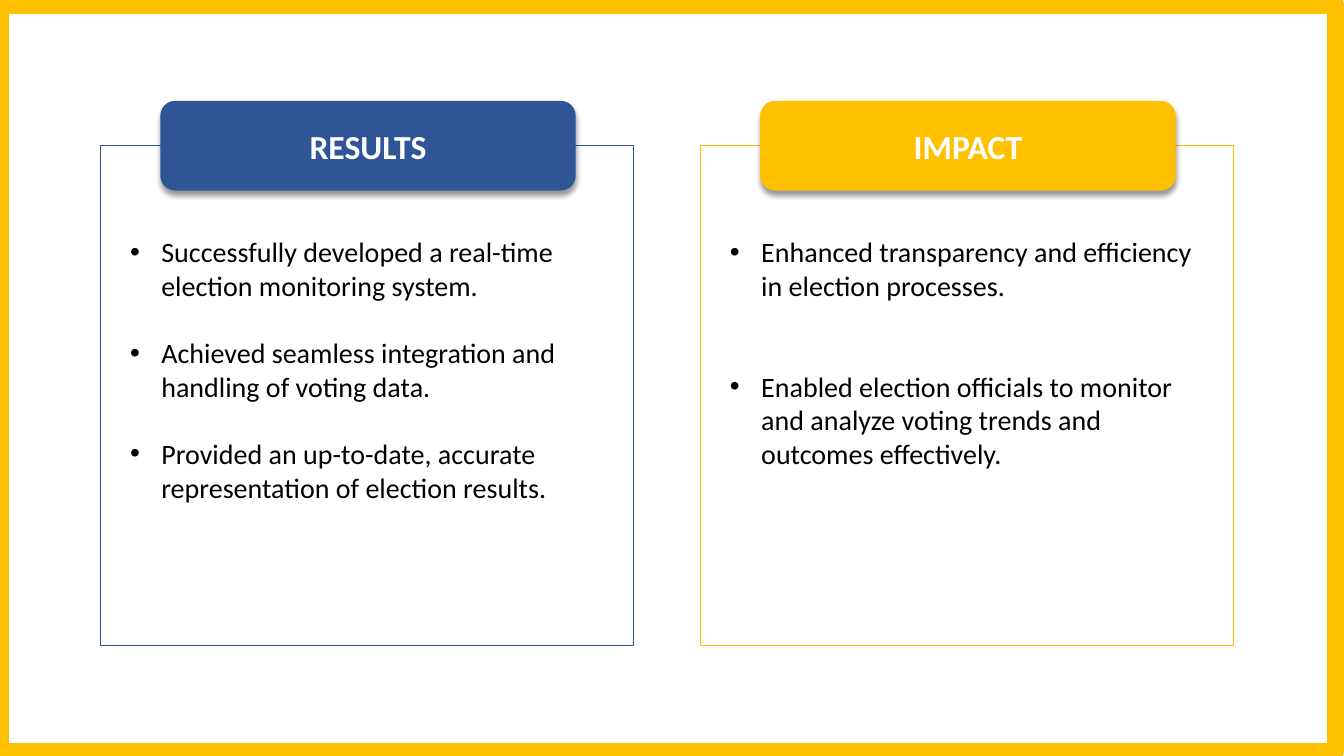
"""Build the results and impact slide."""
from dataclasses import dataclass
from typing import Optional

from lxml.etree import SubElement
from pptx import Presentation
from pptx.dml.color import RGBColor
from pptx.enum.shapes import MSO_SHAPE
from pptx.enum.text import MSO_ANCHOR, MSO_AUTO_SIZE, PP_ALIGN
from pptx.oxml.ns import qn
from pptx.shapes.autoshape import Shape
from pptx.slide import Slide
from pptx.text.text import _Paragraph as Paragraph
from pptx.util import Inches, Length, Pt


@dataclass(frozen=True)
class Theme:
    font: str = "Calibri"
    blue: str = "2F5597"
    gold: str = "FFC000"
    white: str = "FFFFFF"
    black: str = "000000"
    heading_size: float = 24
    body_size: float = 20
    frame_width: float = 12.25
    panel_line_width: float = 0.5


@dataclass(frozen=True)
class Box:
    column: float
    row: float
    columns: float
    rows: float

    def moved(self, columns: float) -> "Box":
        return Box(self.column + columns, self.row, self.columns, self.rows)

    def lengths(self) -> tuple[Length, ...]:
        return tuple(
            Inches(cells * CELL)
            for cells in (self.column, self.row, self.columns, self.rows)
        )


@dataclass(frozen=True)
class Panel:
    heading: str
    color: str
    bullets: tuple[str, ...]
    bullet_gap: float
    body_rows: float


THEME = Theme()
CELL = 0.1
PANEL_PITCH = 59.5
FRAME = Box(0, 0.5, 132.5, 74.1)
OUTLINE = Box(10, 14.4, 52.8, 49.6)
HEADING = Box(15.9, 10, 41.2, 8.9)
BODY = Box(12.9, 23.3, 46.9, 30.6)
BULLET_INDENT = Inches(3.1 * CELL)

PANELS = (
    Panel(
        "RESULTS",
        THEME.blue,
        (
            "Successfully developed a real-time election monitoring system.",
            "Achieved seamless integration and handling of voting data.",
            "Provided an up-to-date, accurate representation of election results.",
        ),
        bullet_gap=24,
        body_rows=30.6,
    ),
    Panel(
        "IMPACT",
        THEME.gold,
        (
            "Enhanced transparency and efficiency in election processes.",
            "Enabled election officials to monitor and analyze voting trends and outcomes effectively.",
        ),
        bullet_gap=48,
        body_rows=27.3,
    ),
)


def write_text(
    paragraph: Paragraph, text: str, *, size: float, color: str, bold: bool = False
) -> None:
    run = paragraph.add_run()
    run.text = text
    run.font.name = THEME.font
    run.font.size = Pt(size)
    run.font.bold = bold
    run.font.color.rgb = RGBColor.from_string(color)


def draw_shape(
    slide: Slide,
    kind: MSO_SHAPE,
    box: Box,
    *,
    fill: Optional[str] = None,
    line: Optional[str] = None,
    line_width: float = 0,
) -> Shape:
    shape = slide.shapes.add_shape(kind, *box.lengths())
    shape.shadow.inherit = False
    if fill:
        shape.fill.solid()
        shape.fill.fore_color.rgb = RGBColor.from_string(fill)
    else:
        shape.fill.background()
    if line:
        shape.line.color.rgb = RGBColor.from_string(line)
        shape.line.width = Pt(line_width)
    else:
        shape.line.fill.background()
    return shape


def add_shadow(shape: Shape) -> None:
    effects = shape.element.spPr.find(qn("a:effectLst"))
    shadow = SubElement(
        effects,
        qn("a:outerShdw"),
        blurRad=str(Pt(4)),
        dist=str(Pt(3)),
        dir=str(90 * 60000),
        algn="ctr",
        rotWithShape="0",
    )
    color = SubElement(shadow, qn("a:srgbClr"), val=THEME.black)
    SubElement(color, qn("a:alpha"), val="40000")


def add_bullet(paragraph: Paragraph) -> None:
    properties = paragraph._p.get_or_add_pPr()
    properties.set("marL", str(BULLET_INDENT))
    properties.set("indent", str(-BULLET_INDENT))
    SubElement(properties, qn("a:buFont"), typeface="Arial")
    SubElement(properties, qn("a:buChar"), char="•")


def draw_heading(slide: Slide, panel: Panel, box: Box) -> None:
    shape = draw_shape(slide, MSO_SHAPE.ROUNDED_RECTANGLE, box, fill=panel.color)
    add_shadow(shape)
    shape.text_frame.vertical_anchor = MSO_ANCHOR.MIDDLE
    paragraph = shape.text_frame.paragraphs[0]
    paragraph.alignment = PP_ALIGN.CENTER
    write_text(
        paragraph, panel.heading, size=THEME.heading_size, color=THEME.white, bold=True
    )


def draw_body(slide: Slide, panel: Panel, box: Box) -> None:
    frame = slide.shapes.add_textbox(*box.lengths()).text_frame
    frame.word_wrap = True
    frame.auto_size = MSO_AUTO_SIZE.SHAPE_TO_FIT_TEXT
    frame.margin_left = frame.margin_right = 0
    frame.margin_top = frame.margin_bottom = 0
    for index, bullet in enumerate(panel.bullets):
        paragraph = frame.add_paragraph() if index else frame.paragraphs[0]
        if index:
            paragraph.space_before = Pt(panel.bullet_gap)
        add_bullet(paragraph)
        write_text(paragraph, bullet, size=THEME.body_size, color=THEME.black)


def draw_panel(slide: Slide, panel: Panel, offset: float) -> None:
    draw_shape(
        slide,
        MSO_SHAPE.RECTANGLE,
        OUTLINE.moved(offset),
        line=panel.color,
        line_width=THEME.panel_line_width,
    )
    draw_heading(slide, panel, HEADING.moved(offset))
    body = Box(BODY.column + offset, BODY.row, BODY.columns, panel.body_rows)
    draw_body(slide, panel, body)


def main() -> None:
    presentation = Presentation()
    presentation.slide_width = Inches(13.33)
    presentation.slide_height = Inches(7.5)
    slide = presentation.slides.add_slide(presentation.slide_layouts[6])
    draw_shape(
        slide, MSO_SHAPE.RECTANGLE, FRAME, line=THEME.gold, line_width=THEME.frame_width
    )
    for index, panel in enumerate(PANELS):
        draw_panel(slide, panel, index * PANEL_PITCH)
    presentation.save("out.pptx")


if __name__ == "__main__":
    main()
